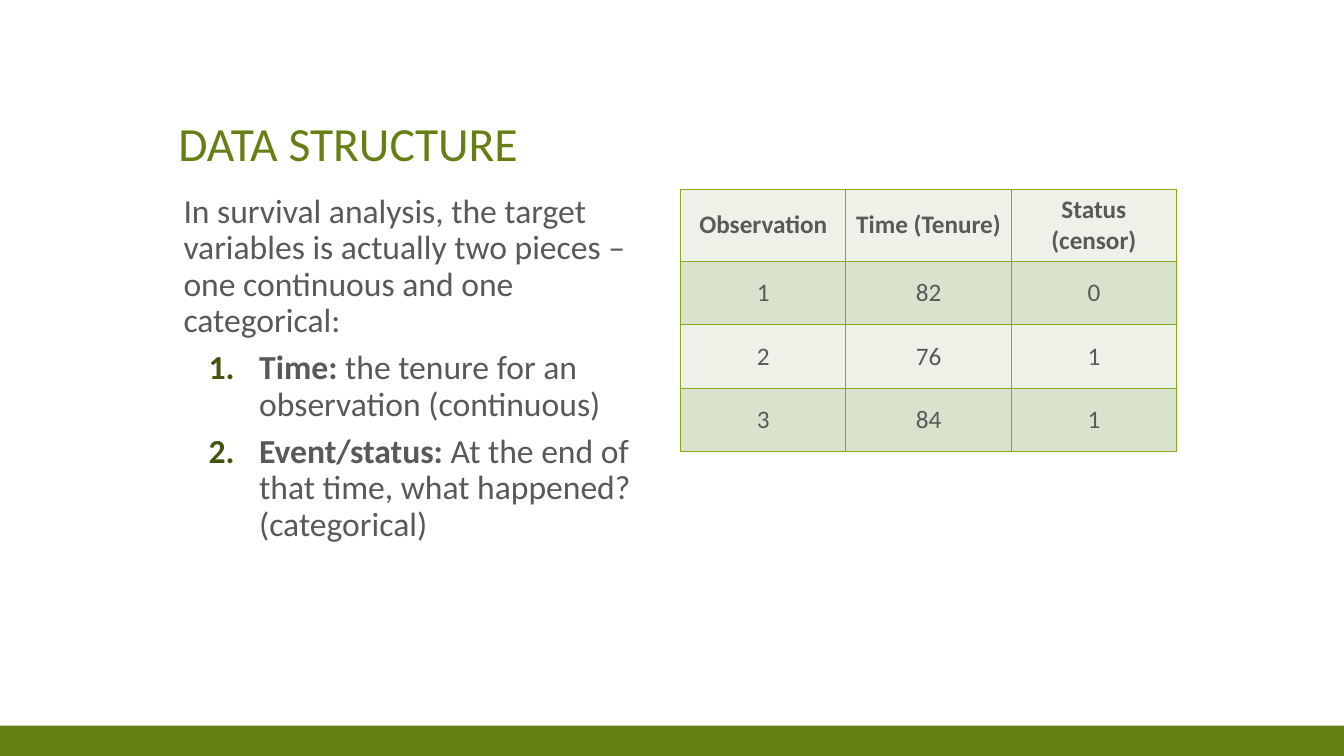
from lxml.etree import SubElement
from pptx import Presentation
from pptx.dml.color import RGBColor
from pptx.enum.shapes import MSO_SHAPE as Shape
from pptx.enum.text import MSO_ANCHOR as Anchor, MSO_AUTO_SIZE as AutoSize, PP_ALIGN as Align
from pptx.oxml.ns import qn
from pptx.util import Inches, Pt

TITLE = "DATA STRUCTURE"
INTRO = ("In survival analysis, the target variables is actually two pieces – "
         "one continuous and one categorical:")
PIECES = [
    ("Time:", " the tenure for an observation (continuous)"),
    ("Event/status:", " At the end of that time, what happened? (categorical)"),
]
ROWS = [
    ("Observation", "Time (Tenure)", "Status (censor)"),
    ("1", "82", "0"),
    ("2", "76", "1"),
    ("3", "84", "1"),
]
COLORS = {"green": "657F14", "text": "595959", "number": "43540D",
          "border": "87A91B", "light": "EDF1E8", "dark": "D9E2CD"}
LEFT, TOP, COLUMN_WIDTH = 1.67, 1.88, 4.92
TABLE_LEFT, ROW_HEIGHT = 6.75, 0.63


def color(name):
    return RGBColor.from_string(COLORS[name])


def set_font(para, size, name, bold=None):
    para.font.name = "Calibri"
    para.font.size = Pt(size)
    para.font.color.rgb = color(name)
    para.font.bold = bold


def place(box, left, top, width, height, anchor):
    box.left, box.top, box.width, box.height = map(Inches, (left, top, width, height))
    box.text_frame.auto_size = AutoSize.NONE
    box.text_frame.word_wrap = True
    box.text_frame.vertical_anchor = anchor


def format_body(para, before, margin, indent):
    set_font(para, 24, "text")
    para.alignment = Align.LEFT
    para.line_spacing = 0.9
    para.space_before = Pt(before)
    properties = para._p.get_or_add_pPr()
    properties.set("marL", str(Inches(margin)))
    properties.set("indent", str(Inches(indent)))
    return properties


def add_borders(cell):
    properties = cell._tc.get_or_add_tcPr()
    for side in ("lnL", "lnR", "lnT", "lnB"):
        line = SubElement(properties, qn(f"a:{side}"), w=str(Pt(1)))
        fill = SubElement(line, qn("a:solidFill"))
        SubElement(fill, qn("a:srgbClr"), val=COLORS["border"])


deck = Presentation()
deck.slide_width, deck.slide_height = Inches(13.33), Inches(7.5)
page = deck.slides.add_slide(deck.slide_layouts[1])

bar = page.shapes.add_shape(Shape.RECTANGLE, 0, Inches(7.2), deck.slide_width, Inches(0.3))
bar.shadow.inherit = False
bar.fill.solid()
bar.fill.fore_color.rgb = color("green")
bar.line.fill.background()

title = page.shapes.title
place(title, LEFT, 0.5, 10, 1.25, Anchor.BOTTOM)
title.text_frame.text = TITLE
heading = title.text_frame.paragraphs[0]
heading.alignment = Align.LEFT
heading.line_spacing = 0.9
set_font(heading, 34, "green")

body = page.placeholders[1]
place(body, LEFT, TOP, COLUMN_WIDTH, 4.88, Anchor.TOP)
body.text_frame.text = INTRO
SubElement(format_body(body.text_frame.paragraphs[0], 18, 0.05, 0), qn("a:buNone"))
for term, meaning in PIECES:
    para = body.text_frame.add_paragraph()
    para.level = 1
    for text, bold in ((term, True), (meaning, False)):
        span = para.add_run()
        span.text = text
        span.font.bold = bold
    properties = format_body(para, 8, 0.8, -0.5)
    SubElement(SubElement(properties, qn("a:buClr")), qn("a:srgbClr"), val=COLORS["number"])
    SubElement(properties, qn("a:buFont"), typeface="+mj-lt")
    SubElement(properties, qn("a:buAutoNum"), type="arabicPeriod")

table = page.shapes.add_table(
    len(ROWS), len(ROWS[0]), Inches(TABLE_LEFT), Inches(TOP),
    Inches(COLUMN_WIDTH), Inches(ROW_HEIGHT * len(ROWS))).table
for r, values in enumerate(ROWS):
    for c, value in enumerate(values):
        cell = table.cell(r, c)
        cell.text = value
        cell.vertical_anchor = Anchor.MIDDLE
        add_borders(cell)
        cell.fill.solid()
        cell.fill.fore_color.rgb = color("dark" if r % 2 else "light")
        para = cell.text_frame.paragraphs[0]
        para.alignment = Align.CENTER
        set_font(para, 18, "text", bold=r == 0)

deck.save("out.pptx")
